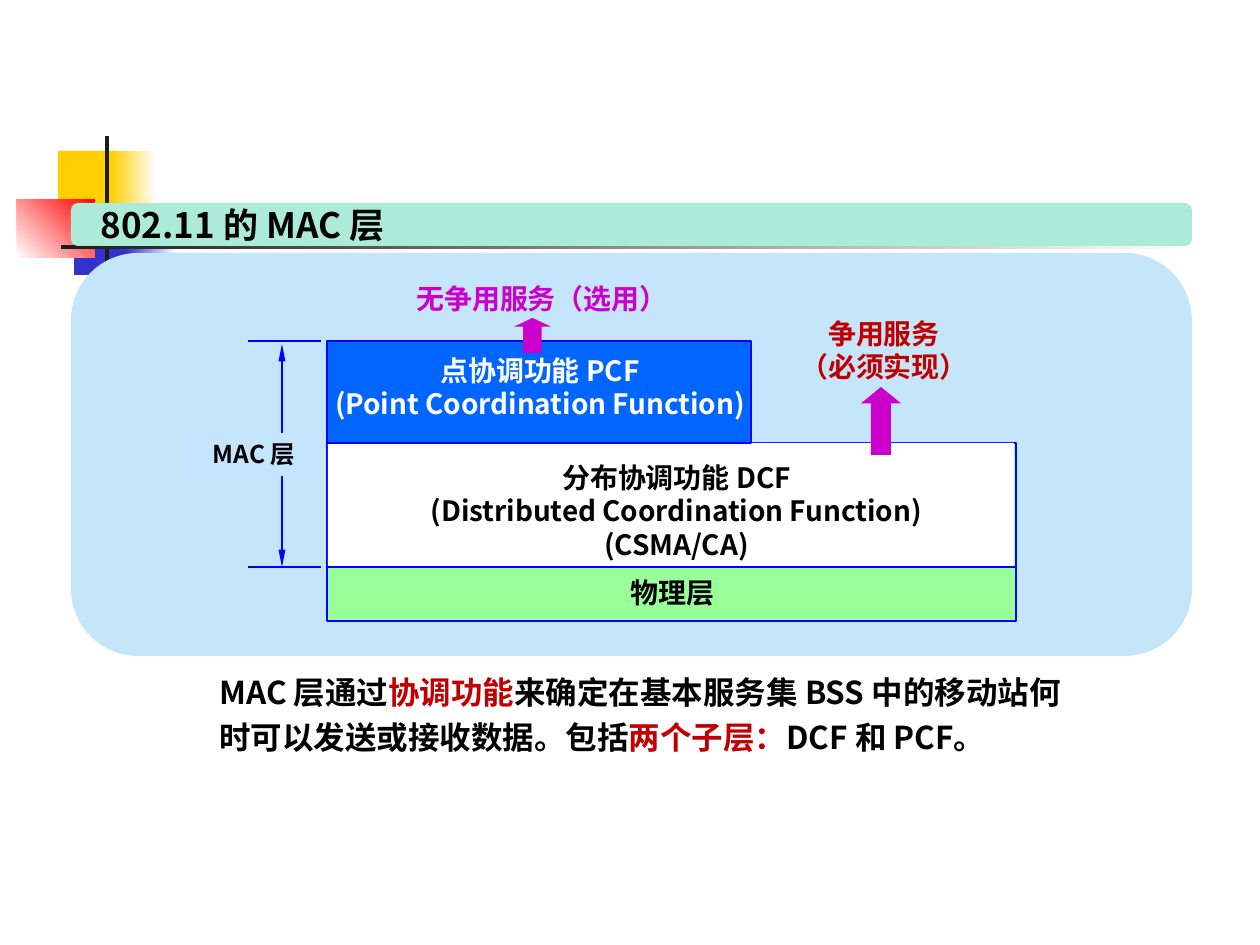
from dataclasses import dataclass
from typing import NamedTuple, Optional

import lxml.etree
import pptx
import pptx.dml.color
import pptx.enum.shapes
import pptx.enum.text
import pptx.oxml.ns
import pptx.util

EMU_PER_PX = 914400 / 126
SHAPES = pptx.enum.shapes.MSO_SHAPE
ALIGN = pptx.enum.text.PP_ALIGN


@dataclass(frozen=True)
class Theme:
    font: str = "Noto Sans CJK SC"
    black: str = "000000"
    white: str = "FFFFFF"
    red_text: str = "C00000"
    magenta: str = "CC00CC"
    line: str = "0000FF"
    yellow: str = "FFCF01"
    indigo: str = "3333CC"
    red: str = "FF0000"
    charcoal: str = "1C1C1C"
    panel: str = "C5E5FB"
    label: str = "C5E5FF"
    title_bar: str = "ABEBD7"
    physical: str = "99FF99"
    pcf: str = "0066FF"
    title_size: int = 20
    body_size: int = 18
    diagram_size: int = 16
    label_size: int = 14


THEME = Theme()


class Box(NamedTuple):
    left: int
    top: int
    width: int
    height: int


class Block(NamedTuple):
    box: Box
    fill: str
    gradient_to: Optional[str] = None
    angle: int = 0
    line: Optional[str] = None
    kind: int = SHAPES.RECTANGLE
    adjustments: tuple[float, ...] = ()


class Label(NamedTuple):
    box: Box
    lines: tuple[str, ...]
    color: str
    size: int = THEME.diagram_size
    align: int = ALIGN.CENTER
    wrap: bool = False
    fill: Optional[str] = None


class Rule(NamedTuple):
    x1: int
    y1: int
    x2: int
    y2: int
    arrows: bool = False


ORNAMENTS = (
    Block(Box(58, 151, 60, 66), THEME.yellow),
    Block(Box(111, 151, 45, 66), THEME.yellow, THEME.white),
    Block(Box(74, 209, 58, 66), THEME.indigo),
    Block(Box(126, 209, 50, 66), THEME.indigo, THEME.white),
    Block(Box(17, 199, 78, 59), THEME.white, THEME.red, 45),
    Block(Box(105, 136, 4, 145), THEME.charcoal),
    Block(Box(61, 245, 1134, 4), THEME.charcoal, THEME.white),
)
PANELS = (
    Block(Box(71, 253, 1121, 403), THEME.panel, kind=SHAPES.ROUNDED_RECTANGLE),
    Block(Box(71, 203, 1121, 43), THEME.title_bar, kind=SHAPES.ROUNDED_RECTANGLE),
)
LAYERS = (
    Block(Box(327, 443, 689, 178), THEME.physical, line=THEME.line),
    Block(Box(328, 443, 686, 124), THEME.white),
    Block(Box(327, 341, 424, 102), THEME.pcf, line=THEME.line),
)
RULES = (
    Rule(282, 344, 282, 567, arrows=True),
    Rule(248, 341, 321, 341),
    Rule(248, 567, 321, 567),
    Rule(327, 567, 1016, 567),
)
LABELS = (
    Label(Box(186, 433, 136, 43), ("MAC 层",), THEME.black,
          THEME.label_size, wrap=True, fill=THEME.label),
    Label(Box(404, 275, 323, 47), ("无争用服务（选用）",), THEME.magenta,
          align=ALIGN.LEFT, wrap=True),
    Label(Box(786, 310, 196, 81), ("争用服务", "（必须实现）"), THEME.red_text),
    Label(Box(409, 454, 535, 115),
          ("分布协调功能 DCF", "(Distributed Coordination Function)", "(CSMA/CA)"), THEME.black),
    Label(Box(315, 347, 450, 81),
          ("点协调功能 PCF", "(Point Coordination Function)"), THEME.white),
    Label(Box(617, 569, 111, 47), ("物理层",), THEME.black),
)
SERVICE_ARROWS = (
    Block(Box(861, 387, 40, 68), THEME.magenta, kind=SHAPES.UP_ARROW, adjustments=(0.5, 0.41)),
    Block(Box(514, 318, 37, 35), THEME.magenta, kind=SHAPES.UP_ARROW, adjustments=(0.5, 0.25)),
)
TITLE_BOX = Box(88, 197, 500, 55)
BODY_BOX = Box(207, 659, 877, 105)
BODY_RUNS = (
    ("MAC 层通过", THEME.black),
    ("协调功能", THEME.red_text),
    ("来确定在基本服务集 BSS 中的移动站何时可以发送或接收数据。包括", THEME.black),
    ("两个子层：", THEME.red_text),
    ("DCF 和 PCF。", THEME.black),
)


def px(length: int) -> pptx.util.Emu:
    return pptx.util.Emu(round(length * EMU_PER_PX))


def rgb(color: str) -> pptx.dml.color.RGBColor:
    return pptx.dml.color.RGBColor.from_string(color)


def add_block(slide, block: Block) -> None:
    shape = slide.shapes.add_shape(block.kind, *map(px, block.box))
    shape.shadow.inherit = False
    for index, value in enumerate(block.adjustments):
        shape.adjustments[index] = value
    if block.gradient_to:
        shape.fill.gradient()
        shape.fill.gradient_angle = block.angle
        for stop, color in zip(shape.fill.gradient_stops, (block.fill, block.gradient_to)):
            stop.color.rgb = rgb(color)
    else:
        shape.fill.solid()
        shape.fill.fore_color.rgb = rgb(block.fill)
    if block.line:
        shape.line.color.rgb = rgb(block.line)
        shape.line.width = pptx.util.Pt(1)
    else:
        shape.line.fill.background()


def add_rule(slide, rule: Rule) -> None:
    connector = slide.shapes.add_connector(
        pptx.enum.shapes.MSO_CONNECTOR.STRAIGHT, *map(px, rule[:4]))
    connector.line.color.rgb = rgb(THEME.line)
    connector.line.width = pptx.util.Pt(1)
    qualified = pptx.oxml.ns.qn
    properties = connector._element.spPr
    if rule.arrows:
        line = properties.find(qualified("a:ln"))
        for end in ("a:headEnd", "a:tailEnd"):
            lxml.etree.SubElement(line, qualified(end), type="triangle", w="sm", len="lg")
    lxml.etree.SubElement(properties, qualified("a:effectLst"))


def format_paragraph(paragraph, size: int, align: int, color: str) -> None:
    paragraph.alignment = align
    font = paragraph.font
    font.name = THEME.font
    font.size = pptx.util.Pt(size)
    font.bold = True
    font.color.rgb = rgb(color)
    defaults = paragraph._p.pPr.find(pptx.oxml.ns.qn("a:defRPr"))
    lxml.etree.SubElement(defaults, pptx.oxml.ns.qn("a:ea"), typeface=THEME.font)


def prepare_frame(shape, wrap: bool):
    frame = shape.text_frame
    frame.word_wrap = wrap
    frame.auto_size = pptx.enum.text.MSO_AUTO_SIZE.NONE
    frame.vertical_anchor = pptx.enum.text.MSO_ANCHOR.TOP
    return frame


def add_label(slide, label: Label) -> None:
    shape = slide.shapes.add_textbox(*map(px, label.box))
    if label.fill:
        shape.fill.solid()
        shape.fill.fore_color.rgb = rgb(label.fill)
    frame = prepare_frame(shape, label.wrap)
    frame.text = "\n".join(label.lines)
    for paragraph in frame.paragraphs:
        format_paragraph(paragraph, label.size, label.align, label.color)


def add_title(slide) -> None:
    title = slide.shapes.title
    title.left, title.top, title.width, title.height = map(px, TITLE_BOX)
    frame = prepare_frame(title, True)
    frame.text = "802.11 的 MAC 层"
    format_paragraph(frame.paragraphs[0], THEME.title_size, ALIGN.LEFT, THEME.black)
    slide.shapes._spTree.append(title._element)


def add_body(slide) -> None:
    shape = slide.shapes.add_textbox(*map(px, BODY_BOX))
    paragraph = prepare_frame(shape, True).paragraphs[0]
    paragraph.line_spacing = pptx.util.Pt(26)
    format_paragraph(paragraph, THEME.body_size, ALIGN.LEFT, THEME.black)
    for text, color in BODY_RUNS:
        run = paragraph.add_run()
        run.text = text
        run.font.color.rgb = rgb(color)


def main() -> None:
    presentation = pptx.Presentation()
    presentation.slide_width, presentation.slide_height = px(1260), px(945)
    slide = presentation.slides.add_slide(presentation.slide_layouts[5])
    for block in ORNAMENTS + PANELS:
        add_block(slide, block)
    add_title(slide)
    add_body(slide)
    for block in LAYERS:
        add_block(slide, block)
    for rule in RULES:
        add_rule(slide, rule)
    for label in LABELS:
        add_label(slide, label)
    for arrow in SERVICE_ARROWS:
        add_block(slide, arrow)
    presentation.save("out.pptx")


if __name__ == "__main__":
    main()
